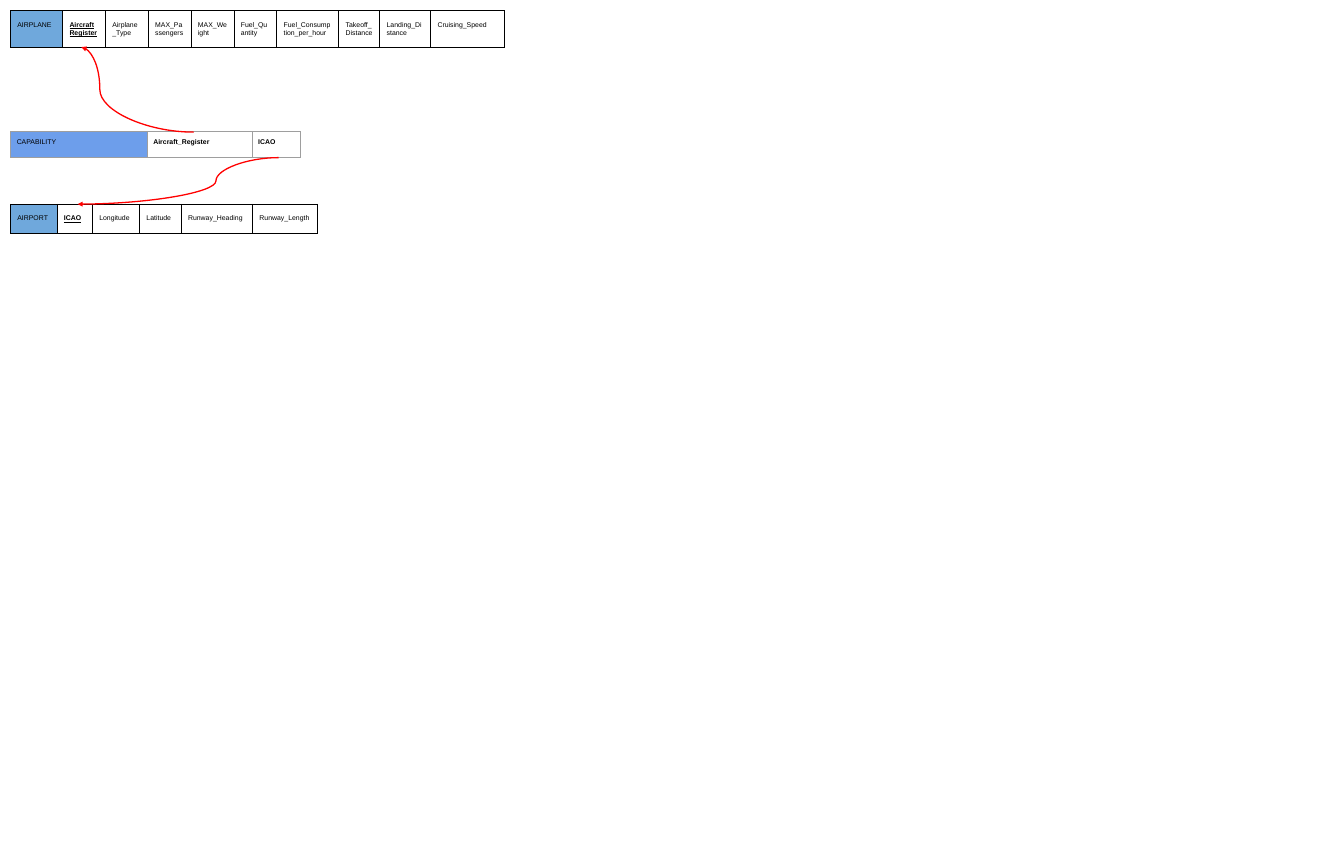
from dataclasses import dataclass

import pptx
import pptx.dml.color
import pptx.enum.shapes
import pptx.oxml
import pptx.oxml.ns
import pptx.slide
import pptx.table
import pptx.util
from lxml import etree

Inches = pptx.util.Inches
Pt = pptx.util.Pt

LEFT = 0.17
BLACK, GREY, RED = "000000", "9E9E9E", "FF0000"
SKY, CORNFLOWER = "6FA8DC", "6D9EEB"
PLAIN = {"bold": False, "underline": False}
FOREIGN_KEY = {"bold": True, "underline": False}
PRIMARY_KEY = {"bold": True, "underline": True}


@dataclass
class Field:
    name: str
    width: float
    style: dict


@dataclass
class Relation:
    top: float
    height: float
    name_fill: str
    border: str
    border_width: float
    margin_x: float
    margin_y: float
    fields: list[Field]


@dataclass
class Reference:
    begin: tuple[float, float]
    end: tuple[float, float]
    bend: int  # thousandths of a percent along the horizontal run


RELATIONS = [
    Relation(0.17, 0.58, SKY, BLACK, 1, 0.11, 0.17, [
        Field("AIRPLANE", 0.84, PLAIN),
        Field("Aircraft Register", 0.69, PRIMARY_KEY),
        Field("Airplane_Type", 0.69, PLAIN),
        Field("ΜΑΧ_Passengers", 0.69, PLAIN),
        Field("MAX_Weight", 0.69, PLAIN),
        Field("Fuel_Quantity", 0.69, PLAIN),
        Field("Fuel_Consumption_per_hour", 1, PLAIN),
        Field("Takeoff_Distance", 0.66, PLAIN),
        Field("Landing_Distance", 0.82, PLAIN),
        Field("Cruising_Speed", 1.18, PLAIN),
    ]),
    Relation(3.29, 0.47, SKY, BLACK, 1, 0.11, 0.17, [
        Field("AIRPORT", 0.75, PLAIN),
        Field("ICAO", 0.57, PRIMARY_KEY),
        Field("Longitude", 0.76, PLAIN),
        Field("Latitude", 0.67, PLAIN),
        Field("Runway_Heading", 1.15, PLAIN),
        Field("Runway_Length", 1.05, PLAIN),
    ]),
    Relation(2.12, 0.42, CORNFLOWER, GREY, 0.75, 0.1, 0.1, [
        Field("CAPABILITY", 2.2, PLAIN),
        Field("Aircraft_Register", 1.69, FOREIGN_KEY),
        Field("ICAO", 0.77, FOREIGN_KEY),
    ]),
]

REFERENCES = [
    Reference((3.12, 2.13), (1.31, 0.76), 83500),
    Reference((4.49, 2.54), (1.25, 3.29), 31200),
]


def color(value: str) -> pptx.dml.color.RGBColor:
    return pptx.dml.color.RGBColor.from_string(value)


def add_child(parent: etree.ElementBase, tag: str, **attributes: str) -> etree.ElementBase:
    return etree.SubElement(parent, pptx.oxml.ns.qn(tag), attributes)


def set_all(target: object, values: dict) -> None:
    for name, value in values.items():
        setattr(target, name, value)


def format_cell(cell: pptx.table._Cell, field: Field, relation: Relation) -> None:
    set_all(cell, {
        "margin_left": Inches(relation.margin_x),
        "margin_right": Inches(relation.margin_x),
        "margin_top": Inches(relation.margin_y),
        "margin_bottom": Inches(relation.margin_y),
    })
    span = cell.text_frame.paragraphs[0].add_run()
    span.text = field.name
    set_all(span.font, {"name": "Arial", "size": Pt(8), **field.style})
    span.font.color.rgb = color(BLACK)

    # Borders come before the fill in the cell properties
    properties = cell._tc.get_or_add_tcPr()
    for side in "LRTB":
        line = add_child(properties, f"a:ln{side}", w=str(Pt(relation.border_width)))
        add_child(add_child(line, "a:solidFill"), "a:srgbClr", val=relation.border)


def draw_relation(page: pptx.slide.Slide, relation: Relation) -> None:
    fields = relation.fields
    width = sum(field.width for field in fields)
    table = page.shapes.add_table(
        1, len(fields), Inches(LEFT), Inches(relation.top),
        Inches(width), Inches(relation.height)).table
    set_all(table, {"first_row": False, "horz_banding": False})
    for index, field in enumerate(fields):
        table.columns[index].width = Inches(field.width)
        cell = table.cell(0, index)
        format_cell(cell, field, relation)
        if index == 0:
            cell.fill.solid()
            cell.fill.fore_color.rgb = color(relation.name_fill)
        else:
            cell.fill.background()


def draw_reference(page: pptx.slide.Slide, reference: Reference) -> None:
    points = [Inches(value) for value in reference.begin + reference.end]
    arrow = page.shapes.add_connector(pptx.enum.shapes.MSO_CONNECTOR.CURVE, *points)
    arrow.line.color.rgb = color(RED)
    arrow.line.width = Pt(1.5)
    add_child(arrow.line._get_or_add_ln(), "a:tailEnd", type="triangle")
    properties = arrow._element.spPr
    add_child(properties, "a:effectLst")
    adjustments = properties.find(".//" + pptx.oxml.ns.qn("a:avLst"))
    add_child(adjustments, "a:gd", name="adj1", fmla=f"val {reference.bend}")


def main() -> None:
    deck = pptx.Presentation()
    set_all(deck, {"slide_width": Inches(21.65), "slide_height": Inches(13.78)})
    page = deck.slides.add_slide(deck.slide_layouts[6])

    # Relation schemas
    for relation in RELATIONS:
        draw_relation(page, relation)

    # Foreign key arrows
    for reference in REFERENCES:
        draw_reference(page, reference)

    deck.save("out.pptx")


if __name__ == "__main__":
    main()
